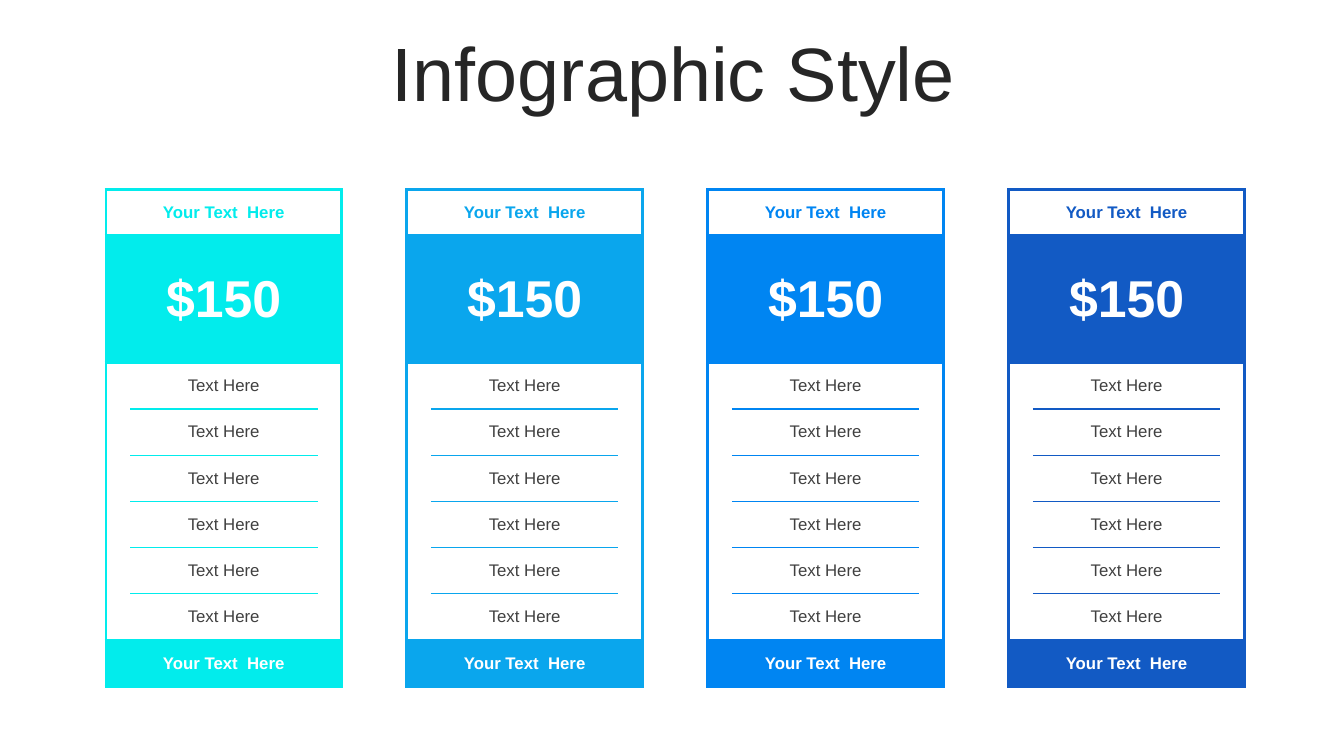
from lxml import etree
from pptx import Presentation
from pptx.dml.color import RGBColor
from pptx.enum.text import MSO_ANCHOR, PP_ALIGN
from pptx.oxml.ns import qn
from pptx.util import Inches, Pt

CENTER = PP_ALIGN.CENTER
MIDDLE = MSO_ANCHOR.MIDDLE
FONT = "Arial"

WHITE = RGBColor(0xFF, 0xFF, 0xFF)
TITLE_GREY = RGBColor(0x26, 0x26, 0x26)
TEXT_GREY = RGBColor(0x40, 0x40, 0x40)
CYAN = RGBColor(0x02, 0xEC, 0xEC)
SKY = RGBColor(0x0A, 0xA6, 0xED)
BLUE = RGBColor(0x00, 0x85, 0xF2)
NAVY = RGBColor(0x12, 0x5A, 0xC4)

# Grid of the price tables, in inches
FIRST_LEFT, TOP, PITCH = 1.05, 1.88, 2.985
COLUMNS = [0.23, 1.86, 0.23]
ROW, PRICE_ROW = 0.459, 1.26
FEATURES = 6
ROWS = [ROW, PRICE_ROW] + [ROW] * (FEATURES + 1)
LAST_ROW, LAST_COLUMN = len(ROWS) - 1, len(COLUMNS) - 1
FRAME, RULE = 2.25, 1


def write(frame, text, size, color, bold=False):
    para = frame.paragraphs[0]
    para.alignment = CENTER
    span = para.add_run()
    span.text = text
    span.font.name = FONT
    span.font.size = Pt(size)
    span.font.bold = bold
    span.font.color.rgb = color
    return para


def set_borders(cell, color, **widths):
    properties = cell._tc.get_or_add_tcPr()
    for side in "LRTB":
        width = widths.get(side, 0)
        line = etree.SubElement(properties, qn(f"a:ln{side}"), w=str(Pt(width)))
        if width:
            fill = etree.SubElement(line, qn("a:solidFill"))
            etree.SubElement(fill, qn("a:srgbClr"), val=str(color))
        else:
            etree.SubElement(line, qn("a:noFill"))


deck = Presentation()
deck.slide_width, deck.slide_height = Inches(13.33), Inches(7.5)
page = deck.slides.add_slide(deck.slide_layouts[6])

# Title
box = page.shapes.add_textbox(Inches(0.35), Inches(0.37), Inches(12.66), Inches(0.79))
box.text_frame.word_wrap = True
box.text_frame.vertical_anchor = MIDDLE
title = write(box.text_frame, "Infographic Style", 54, TITLE_GREY)
title.line_spacing = 0.9

# Price tables
for number, color in enumerate([CYAN, SKY, BLUE, NAVY]):
    table = page.shapes.add_table(
        len(ROWS), len(COLUMNS), Inches(FIRST_LEFT + number * PITCH), Inches(TOP),
        Inches(sum(COLUMNS)), Inches(sum(ROWS))).table
    table.first_row = table.horz_banding = False
    for column, width in zip(table.columns, COLUMNS):
        column.width = Inches(width)
    for row, height in zip(table.rows, ROWS):
        row.height = Inches(height)

    # Full-width rows: heading, price and footer
    banners = {
        0: ("Your Text  Here", 12, color, WHITE),
        1: ("$150", 37, WHITE, color),
        LAST_ROW: ("Your Text  Here", 12, WHITE, color),
    }
    for index, (text, size, text_color, fill_color) in banners.items():
        for column in range(len(COLUMNS)):
            cell = table.cell(index, column)
            set_borders(cell, color, L=FRAME, R=FRAME, T=FRAME, B=FRAME)
            cell.fill.solid()
            cell.fill.fore_color.rgb = fill_color
        heading = table.cell(index, 0)
        heading.merge(table.cell(index, LAST_COLUMN))
        heading.vertical_anchor = MIDDLE
        write(heading.text_frame, text, size, text_color, bold=True)

    # Feature rows: thin rules in the middle column, frame at the sides
    for index in range(2, LAST_ROW):
        for column in range(len(COLUMNS)):
            cell = table.cell(index, column)
            inner = RULE if column == 1 else 0
            set_borders(cell, color,
                        L=FRAME if column == 0 else 0,
                        R=FRAME if column == LAST_COLUMN else 0,
                        T=FRAME if index == 2 else inner,
                        B=FRAME if index == LAST_ROW - 1 else inner)
            cell.fill.solid()
            cell.fill.fore_color.rgb = WHITE
        feature = table.cell(index, 1)
        feature.vertical_anchor = MIDDLE
        write(feature.text_frame, "Text Here", 12, TEXT_GREY)

deck.save("out.pptx")
